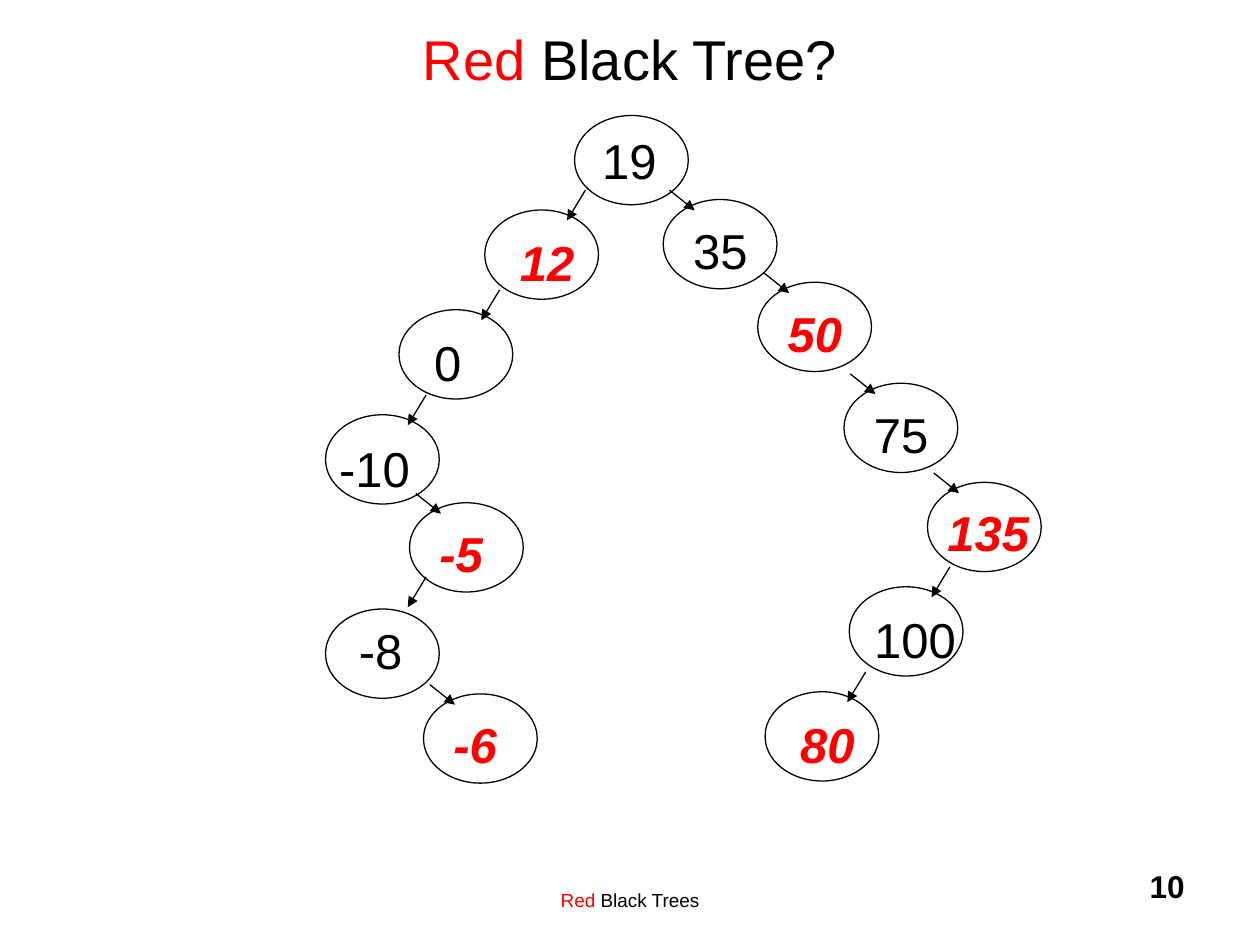
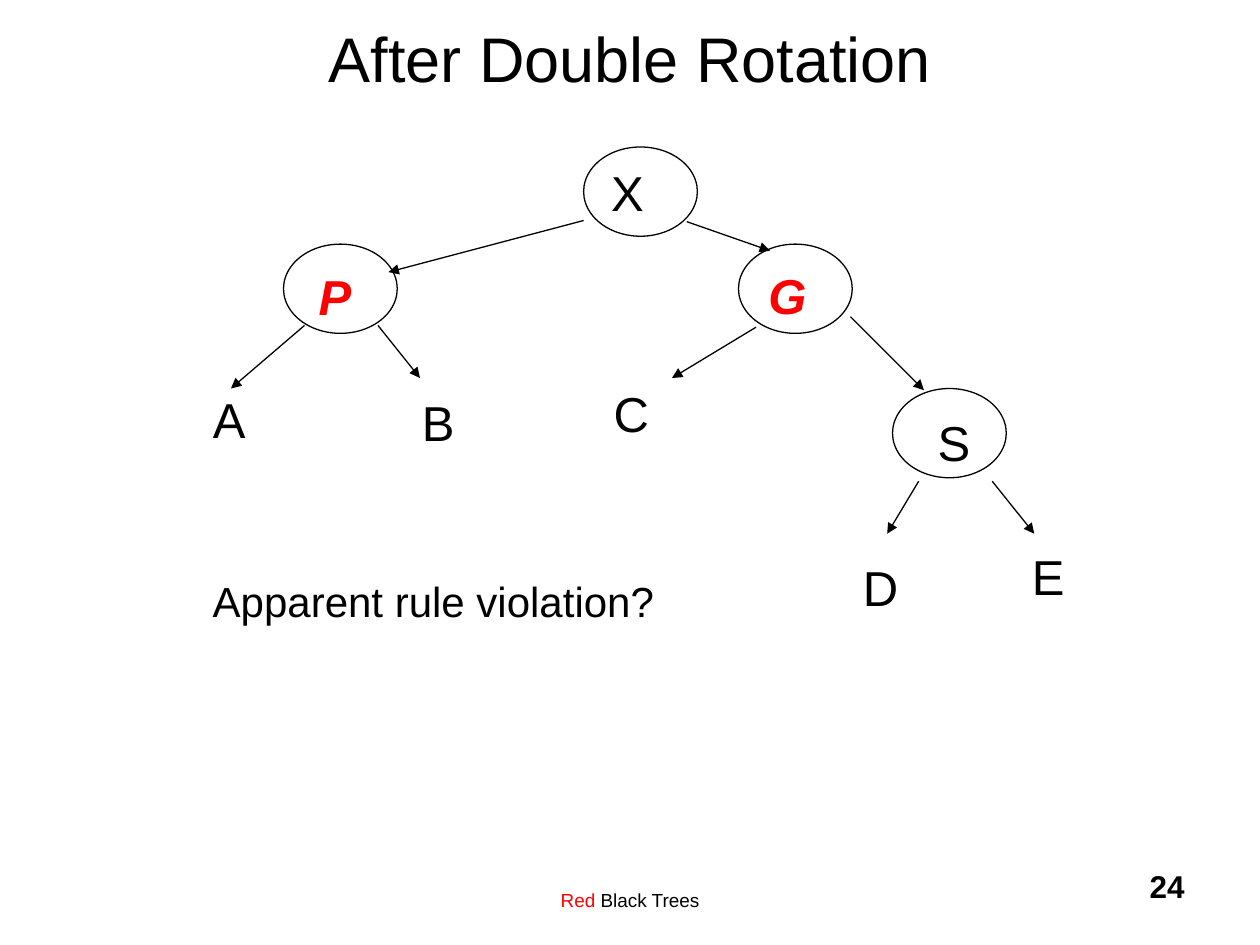
import lxml.etree
import pptx
import pptx.dml.color
import pptx.enum.shapes
import pptx.enum.text
import pptx.oxml.ns
import pptx.util

Pt = pptx.util.Pt
qn = pptx.oxml.ns.qn
ALIGN = pptx.enum.text.PP_ALIGN
ANCHOR = pptx.enum.text.MSO_ANCHOR

BLACK = "000000"
RED = "FF0000"
NODE_WIDTH, NODE_HEIGHT = 65, 51
LABEL_SIZE = 28

# For each side a child hangs on: label offset and arrow tip from the node's
# corner, then the arrow's run from parent to child.
LEFT = {"label": (13, 6.5), "tip": (47, 6), "run": (-10.5, 17.3)}
RIGHT = {"label": (10, 5.5), "tip": (18, 6.2), "run": (14.4, 11.5)}

# Arial advance widths in ems, rounded; other capitals take 0.67.
LETTER_WIDTHS = {"-": 0.33, "C": 0.72, "D": 0.72, "G": 0.78}
LETTER_WIDTHS.update({digit: 0.56 for digit in "0123456789"})


def color(hex_string):
    return pptx.dml.color.RGBColor.from_string(hex_string)


def add_span(para, text, size=LABEL_SIZE, ink=BLACK, bold=False, italic=False):
    span = para.add_run()
    span.text = text
    font = span.font
    font.name = "Arial"
    font.size = Pt(size)
    font.bold = bold
    font.italic = italic
    font.color.rgb = color(ink)


def label_width(text):
    """Width of a box that just holds a label and its side insets."""
    ems = sum(LETTER_WIDTHS.get(letter, 0.67) for letter in text)
    return round(ems * LABEL_SIZE + 14.4, 1)


class TreeDeck:
    def __init__(self):
        self.deck = pptx.Presentation()
        self.deck.slide_width = Pt(720)
        self.deck.slide_height = Pt(540)
        self.page = None

    def add_page(self, title, title_size, number):
        """Start a slide; title is a list of (text, colour) spans."""
        self.page = self.deck.slides.add_slide(self.deck.slide_layouts[5])
        box = self.page.shapes.title
        box.left, box.top, box.width, box.height = Pt(54), Pt(-12), Pt(612), Pt(90)
        box.text_frame.vertical_anchor = ANCHOR.MIDDLE
        para = box.text_frame.paragraphs[0]
        para.alignment = ALIGN.CENTER
        for text, ink in title:
            add_span(para, text, size=title_size, ink=ink)
        footer = [("Red", RED), (" Black Trees", BLACK)]
        self.text(footer, 222, 504.5, 276, 24, align=ALIGN.CENTER, size=10.8)
        self.text([(str(number), BLACK)], 534, 492, 150, 36,
                  align=ALIGN.RIGHT, size=18, bold=True)

    def text(self, spans, left, top, width, height, align=ALIGN.LEFT, wrap=True, **style):
        box = self.page.shapes.add_textbox(Pt(left), Pt(top), Pt(width), Pt(height))
        box.text_frame.word_wrap = wrap
        para = box.text_frame.paragraphs[0]
        para.alignment = align
        for text, ink in spans:
            add_span(para, text, ink=ink, **style)

    def label(self, text, left, top, red=False):
        self.text([(text, RED if red else BLACK)], left, top + 3, label_width(text), 41,
                  wrap=False, bold=red, italic=red)

    def node(self, text, left, top, label_offset, red=False):
        oval = self.page.shapes.add_shape(
            pptx.enum.shapes.MSO_SHAPE.OVAL,
            Pt(left), Pt(top), Pt(NODE_WIDTH), Pt(NODE_HEIGHT))
        oval.shadow.inherit = False
        oval.fill.background()
        oval.line.color.rgb = color(BLACK)
        oval.line.width = Pt(0.75)
        self.label(text, left + label_offset[0], top + label_offset[1], red)

    def arrow(self, start_x, start_y, end_x, end_y):
        line = self.page.shapes.add_connector(
            pptx.enum.shapes.MSO_CONNECTOR.STRAIGHT,
            Pt(start_x), Pt(start_y), Pt(end_x), Pt(end_y))
        line.line.color.rgb = color(BLACK)
        line.line.width = Pt(0.75)
        properties = line._element.spPr
        lxml.etree.SubElement(properties.find(qn("a:ln")), qn("a:tailEnd"), type="triangle")
        lxml.etree.SubElement(properties, qn("a:effectLst"))

    def child(self, side, text, left, top, red=False, label_offset=None, tip_shift=0):
        """Draw a node and the arrow that reaches it from its parent."""
        self.node(text, left, top, label_offset or side["label"], red)
        tip_x = left + side["tip"][0]
        tip_y = top + side["tip"][1] + tip_shift
        run_x, run_y = side["run"]
        self.arrow(tip_x - run_x, tip_y - run_y, tip_x, tip_y)


def add_number_tree(tree):
    tree.add_page([("Red", RED), (" Black Tree?", BLACK)], 32, 10)
    tree.node("19", 328.3, 66, (8.7, 2.2))
    tree.child(LEFT, "12", 277, 120, red=True)
    tree.child(LEFT, "0", 228, 177)
    tree.child(LEFT, "-10", 186, 237, label_offset=(0.7, 7))
    tree.child(RIGHT, "-5", 234, 287.3, red=True)
    tree.child(LEFT, "-8", 186, 348, label_offset=(12, 0), tip_shift=-7)
    tree.child(RIGHT, "-6", 242, 396.5, red=True)
    tree.child(RIGHT, "35", 379, 114)
    tree.child(RIGHT, "50", 433, 161.3, red=True)
    tree.child(RIGHT, "75", 482.3, 219)
    tree.child(RIGHT, "135", 530, 275.6, red=True, label_offset=(4.3, 5))
    tree.child(LEFT, "100", 485.3, 335.3, label_offset=(7.2, 6.5))
    tree.child(LEFT, "80", 437.2, 395.3, red=True)


def add_rotation_tree(tree):
    tree.add_page([("After Double Rotation", BLACK)], 36, 24)
    tree.node("X", 333.5, 84, (8.6, 2.2))
    tree.node("P", 162, 139.5, LEFT["label"], red=True)
    tree.node("G", 422, 139.5, RIGHT["label"], red=True)
    tree.node("S", 510, 222, (18.7, 7.2))
    arrows = [
        (333.5, 126, 222, 155.5), (392.5, 126.7, 440, 143.3),   # X to P, G
        (174, 186, 132, 222), (216, 186, 240, 216),             # P to A, B
        (432, 187, 384, 216), (486, 181, 528, 223),             # G to C, S
        (525, 275, 507, 305), (567, 275, 591, 305),             # S to D, E
    ]
    for ends in arrows:
        tree.arrow(*ends)
    subtrees = [("A", 114.5, 216), ("B", 234, 217.5), ("C", 343.5, 212.5),
                ("D", 486, 312), ("E", 582.5, 306)]
    for subtree in subtrees:
        tree.label(*subtree)
    tree.text([("Apparent rule violation?", BLACK)], 114.5, 325.5, 266.5, 36,
              wrap=False, size=24)


def main():
    tree = TreeDeck()
    add_number_tree(tree)
    add_rotation_tree(tree)
    tree.deck.save("out.pptx")


if __name__ == "__main__":
    main()
